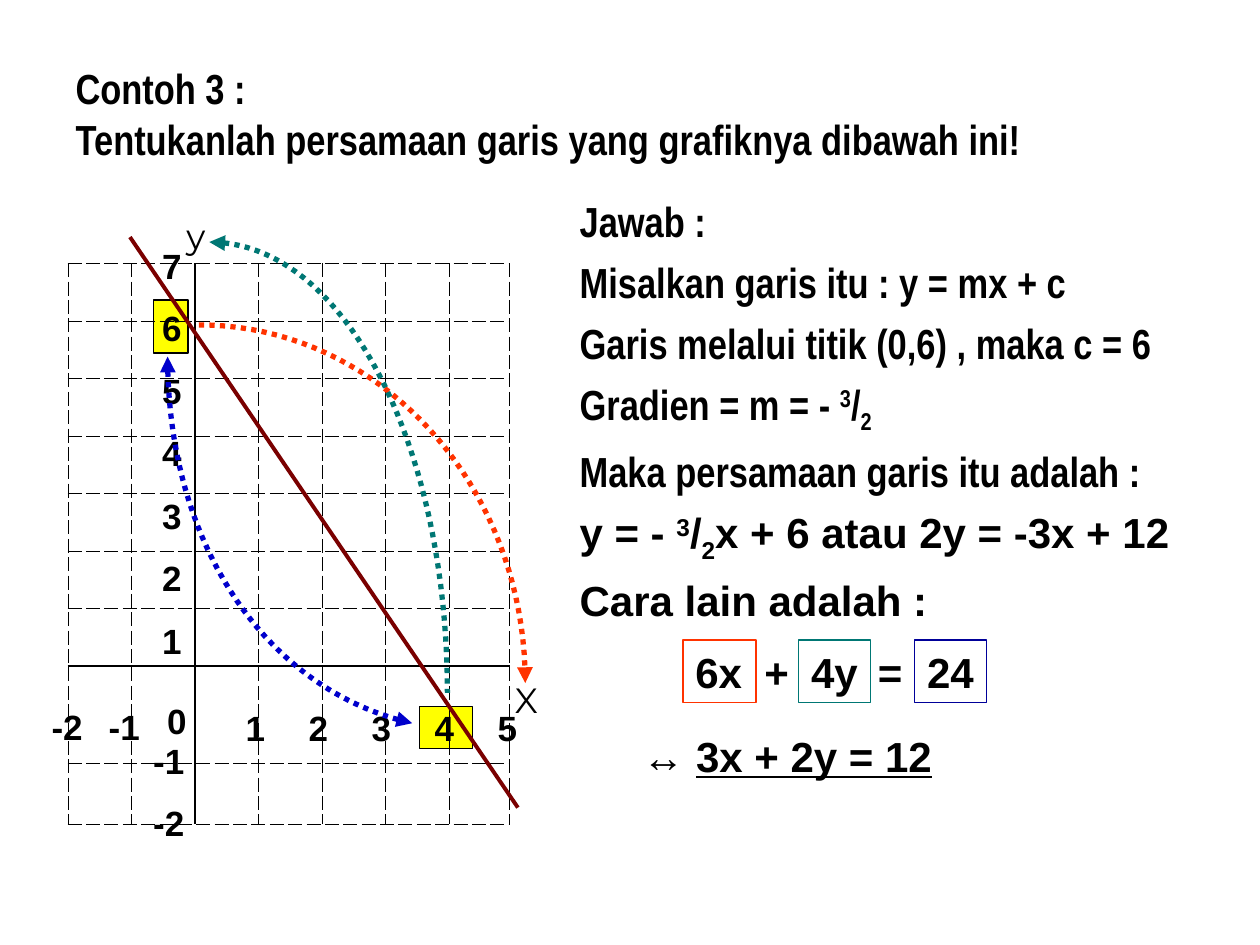
from lxml.etree import SubElement
from pptx import Presentation
from pptx.dml.color import RGBColor
from pptx.enum.dml import MSO_LINE
from pptx.enum.shapes import MSO_CONNECTOR, MSO_SHAPE
from pptx.enum.text import MSO_ANCHOR, MSO_AUTO_SIZE, PP_ALIGN
from pptx.oxml.ns import qn
from pptx.util import Cm, Pt

NARROW, SANS, AXIS = "Arial Narrow", "Arial", "Montserrat"
BLACK = "000000"
UP, DOWN = 30000, -25000


def hue(code):
    return RGBColor.from_string(code)


def add_run(para, text, size=24, face=SANS, bold=True, base=0, under=False):
    run = para.add_run()
    run.text = text
    font = run.font
    font.size, font.name, font.bold = Pt(size), face, bold
    font.color.rgb = hue(BLACK)
    if under:
        font.underline = True
    if base:
        run._r.get_or_add_rPr().set("baseline", str(base))


def place(shape, box):
    shape.left, shape.top, shape.width, shape.height = map(Cm, box)


def add_label(slide, box, text, **look):
    label = slide.shapes.add_textbox(*map(Cm, box))
    label.text_frame.word_wrap = False
    add_run(label.text_frame.paragraphs[0], text, **look)
    return label


def add_title(slide, box, lines):
    title = slide.shapes.title
    place(title, box)
    frame = title.text_frame
    frame.auto_size = MSO_AUTO_SIZE.NONE
    frame.vertical_anchor = MSO_ANCHOR.MIDDLE
    para = frame.paragraphs[0]
    para.alignment = PP_ALIGN.LEFT
    for i, line in enumerate(lines):
        if i:
            para.add_line_break()
        add_run(para, line, face=NARROW)


def add_answer(slide, box, items):
    body = slide.placeholders[1]
    place(body, box)
    frame = body.text_frame
    frame.auto_size = MSO_AUTO_SIZE.NONE
    for i, (face, runs) in enumerate(items):
        para = frame.add_paragraph() if i else frame.paragraphs[0]
        props = para._p.get_or_add_pPr()
        props.set("marL", str(Cm(0.95)))
        props.set("indent", str(Cm(-0.95)))
        SubElement(props, qn("a:buNone"))
        para.space_before = Pt(6 if i else 0)
        for text, base in runs:
            add_run(para, text, face=face, base=base)


def set_edge(cell, side, solid):
    edge = SubElement(cell._tc.get_or_add_tcPr(), qn("a:" + side),
                      w=str(Pt(1.08 if solid else 0.34)))
    fill = SubElement(edge, qn("a:solidFill"))
    SubElement(fill, qn("a:srgbClr"), val=BLACK)
    SubElement(edge, qn("a:prstDash"), val="solid" if solid else "dash")


def add_grid(slide, left, top):
    cols = [1.28] * 6 + [1.22]
    rows = [1.16] * 7 + [1.96, 1.22]
    frame = slide.shapes.add_table(len(rows), len(cols), Cm(left), Cm(top),
                                   Cm(sum(cols)), Cm(sum(rows)))
    table = frame.table
    table.first_row = table.horz_banding = False
    for col, size in zip(table.columns, cols):
        col.width = Cm(size)
    for row, size in zip(table.rows, rows):
        row.height = Cm(size)
    # The axes run between columns 1 and 2 and between rows 6 and 7
    for r in range(len(rows)):
        for c in range(len(cols)):
            cell = table.cell(r, c)
            for side, solid in (("lnL", c == 2), ("lnR", c == 1),
                                ("lnT", r == 7), ("lnB", r == 6)):
                set_edge(cell, side, solid)
            cell.fill.background()


def add_curve(slide, points, color, ends):
    (ax, ay), (bx, by), (cx, cy), (dx, dy) = points
    dots = []
    for i in range(41):
        t = i / 40
        u = 1 - t
        k = (u ** 3, 3 * u * u * t, 3 * u * t * t, t ** 3)
        dots.append((Cm(sum(a * b for a, b in zip(k, (ax, bx, cx, dx)))),
                     Cm(sum(a * b for a, b in zip(k, (ay, by, cy, dy))))))
    form = slide.shapes.build_freeform(*dots[0])
    form.add_line_segments(dots[1:], close=False)
    curve = form.convert_to_shape()
    curve.shadow.inherit = False
    curve.fill.background()
    line = curve.line
    line.color.rgb, line.width = hue(color), Pt(3)
    line.dash_style = MSO_LINE.ROUND_DOT
    for end in ends:
        SubElement(line._get_or_add_ln(), qn("a:" + end), type="triangle")


def add_graph(slide, left, top):
    def at(x, y, *size):
        return (left + x, top + y, *size)

    # Marked intercepts
    for box in ((1.73, 0.74, 0.69, 1.07), (7.09, 8.94, 1.07, 0.84)):
        mark = slide.shapes.add_shape(MSO_SHAPE.RECTANGLE, *map(Cm, at(*box)))
        mark.shadow.inherit = False
        mark.fill.solid()
        mark.fill.fore_color.rgb = hue("FFFF00")
        mark.line.color.rgb, mark.line.width = hue(BLACK), Pt(0.75)
    add_grid(slide, left, top)

    # Axis names and numbers
    for text, x, y in (("X", 8.76, 8.25), ("y", 2.14, -1.12)):
        add_label(slide, at(x, y, 0.9, 1.12), text, size=20, face=AXIS, bold=False)
    marks = [("-2", -0.58, 8.79), ("-1", 0.57, 8.79), ("0", 1.75, 8.66)]
    marks += [(str(n), 2.06 + 1.27 * n, 8.81) for n in range(1, 6)]
    marks += [(str(n), 1.65, 8.31 - 1.26 * n) for n in range(1, 8)]
    marks += [(str(-n), 1.47, 8.23 + 1.25 * n) for n in (1, 2)]
    for text, x, y in marks:
        wide = 0.89 if len(text) == 1 else 1.14
        add_label(slide, at(x, y, wide, 1.12), text, size=20)

    # Plotted line
    line = slide.shapes.add_connector(MSO_CONNECTOR.STRAIGHT,
                                      *map(Cm, at(1.25, -0.53) + at(9.07, 10.97)))
    line.line.color.rgb, line.line.width = hue("7A0000"), Pt(2.25)
    SubElement(line._element.spPr, qn("a:effectLst"))

    # Dotted arrows
    curves = [
        ("FF3300", ["tailEnd"], [(2.64, 1.24), (6.28, 1.24), (9.22, 4.47), (9.22, 8.46)]),
        ("007774", ["headEnd"], [(2.85, -0.43), (5.56, -0.43), (7.65, 3.63), (7.65, 8.66)]),
        ("0000CC", ["headEnd", "tailEnd"],
         [(6.94, 9.27), (4.07, 8.63), (2.01, 5.76), (2.01, 1.88)]),
    ]
    for color, ends, points in curves:
        add_curve(slide, [at(*p) for p in points], color, ends)


def add_formula(slide, left, top):
    # Framed terms
    terms = [("6x", 1.07, 1.47, "FF3300"), ("+", 2.46, 1.24, None),
             ("4y", 3.4, 1.45, "007774"), ("=", 4.75, 0.99, None),
             ("24", 5.74, 1.45, "000099")]
    for text, x, wide, color in terms:
        term = add_label(slide, (left + x, top, wide, 1.27), text)
        if color:
            term.line.color.rgb, term.line.width = hue(color), Pt(0.75)
    # Result
    result = add_label(slide, (left, top + 1.7, 6.35, 1.27), "↔ ")
    add_run(result.text_frame.paragraphs[0], "3x + 2y = 12", under=True)


def main():
    deck = Presentation()
    deck.slide_width, deck.slide_height = Cm(25.4), Cm(19.05)
    slide = deck.slides.add_slide(deck.slide_layouts[1])
    add_title(slide, (1.27, 0.76, 22.86, 3.05),
              ["Contoh 3 :", "Tentukanlah persamaan garis yang grafiknya dibawah ini!"])
    slope = [("3", UP), ("/", 0), ("2", DOWN)]
    add_answer(slide, (11.43, 3.81, 12.7, 9.09), [
        (NARROW, [("Jawab :", 0)]),
        (NARROW, [("Misalkan garis itu : y = mx + c", 0)]),
        (NARROW, [("Garis melalui titik (0,6) , maka c = 6", 0)]),
        (NARROW, [("Gradien = m = - ", 0), *slope]),
        (NARROW, [("Maka persamaan garis itu adalah :", 0)]),
        (SANS, [("y = - ", 0), *slope, ("x + 6 atau 2y = -3x + 12", 0)]),
        (SANS, [("Cara lain adalah :", 0)]),
    ])
    add_graph(slide, 1.37, 5.31)
    add_formula(slide, 12.7, 12.9)
    deck.save("out.pptx")


if __name__ == "__main__":
    main()
